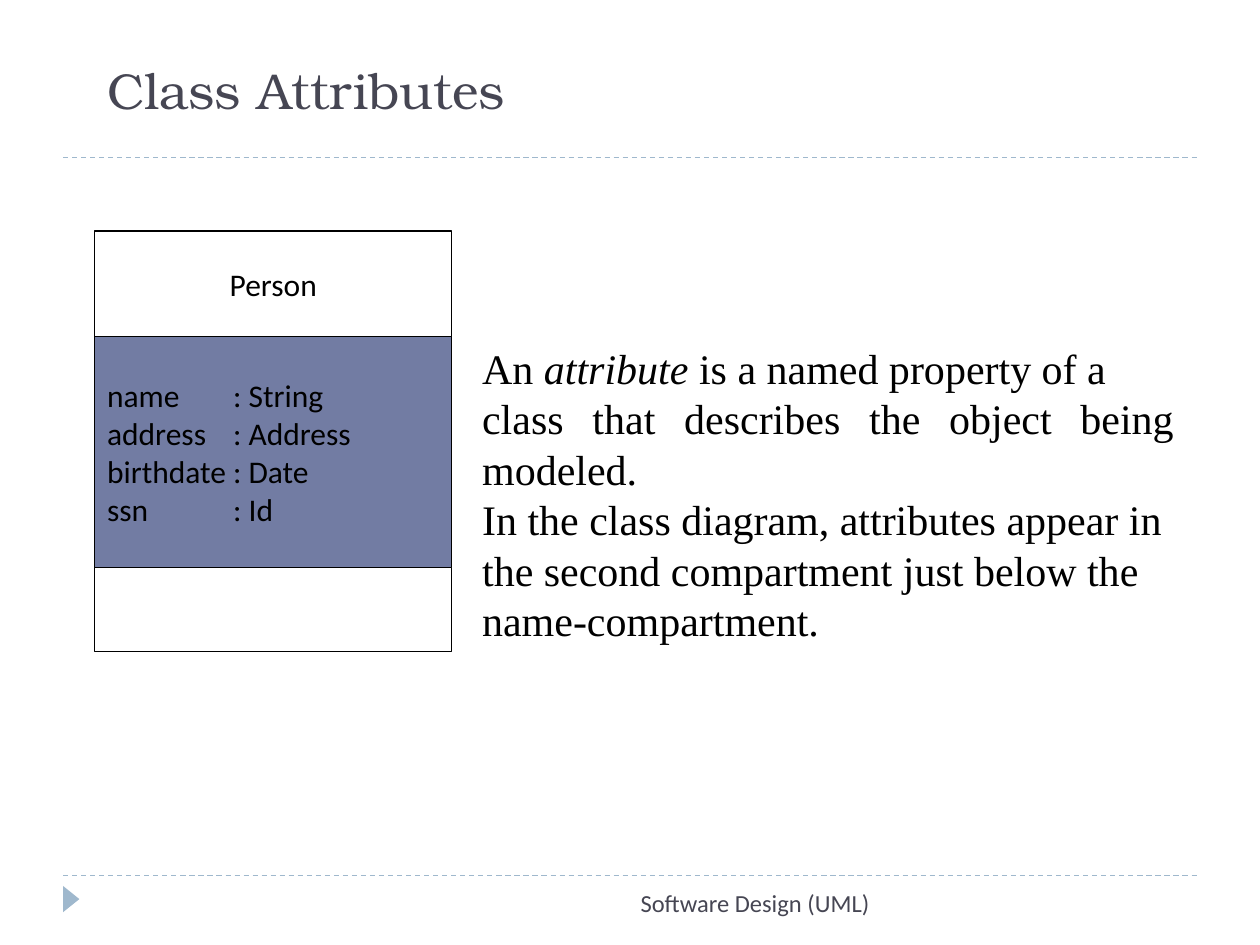
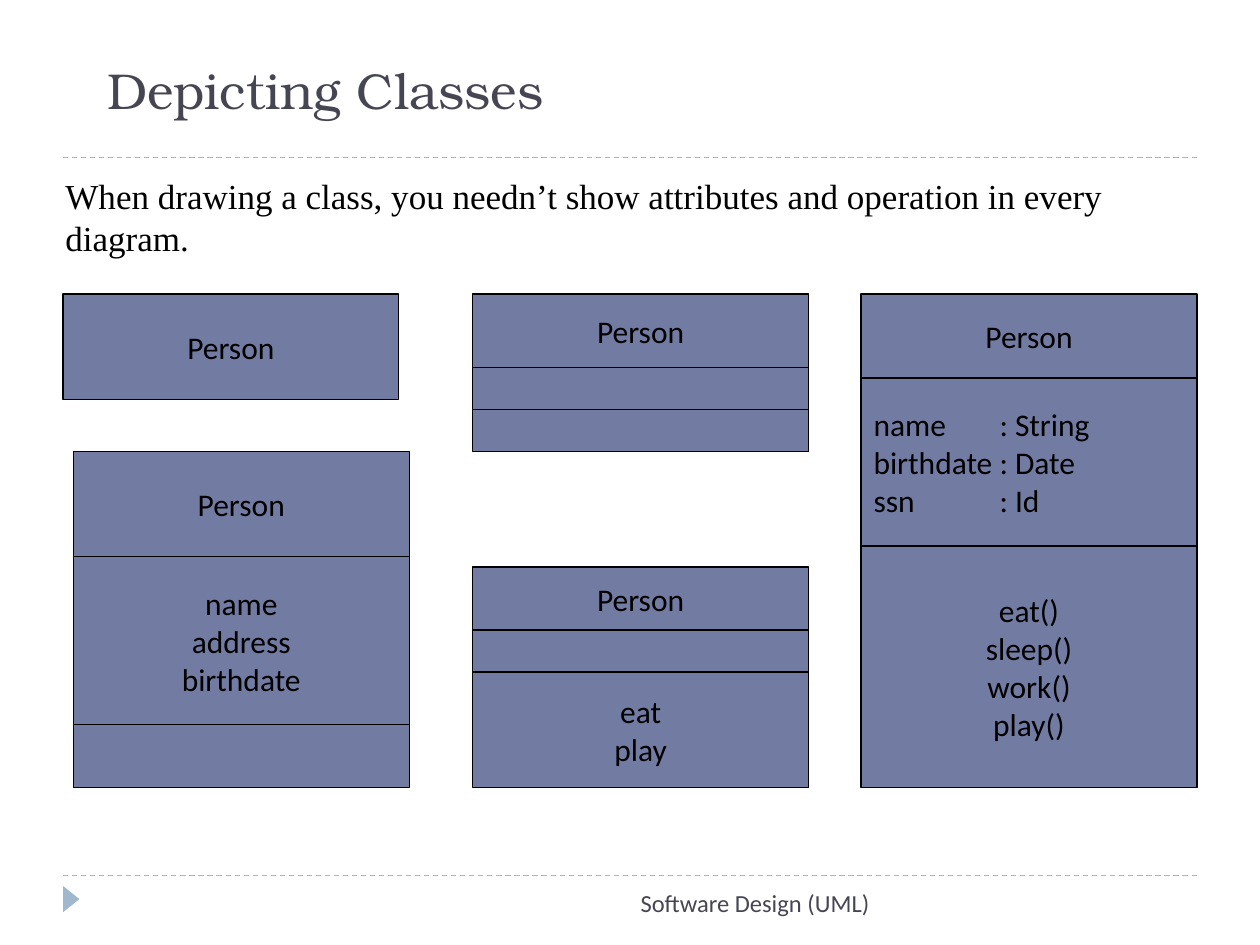
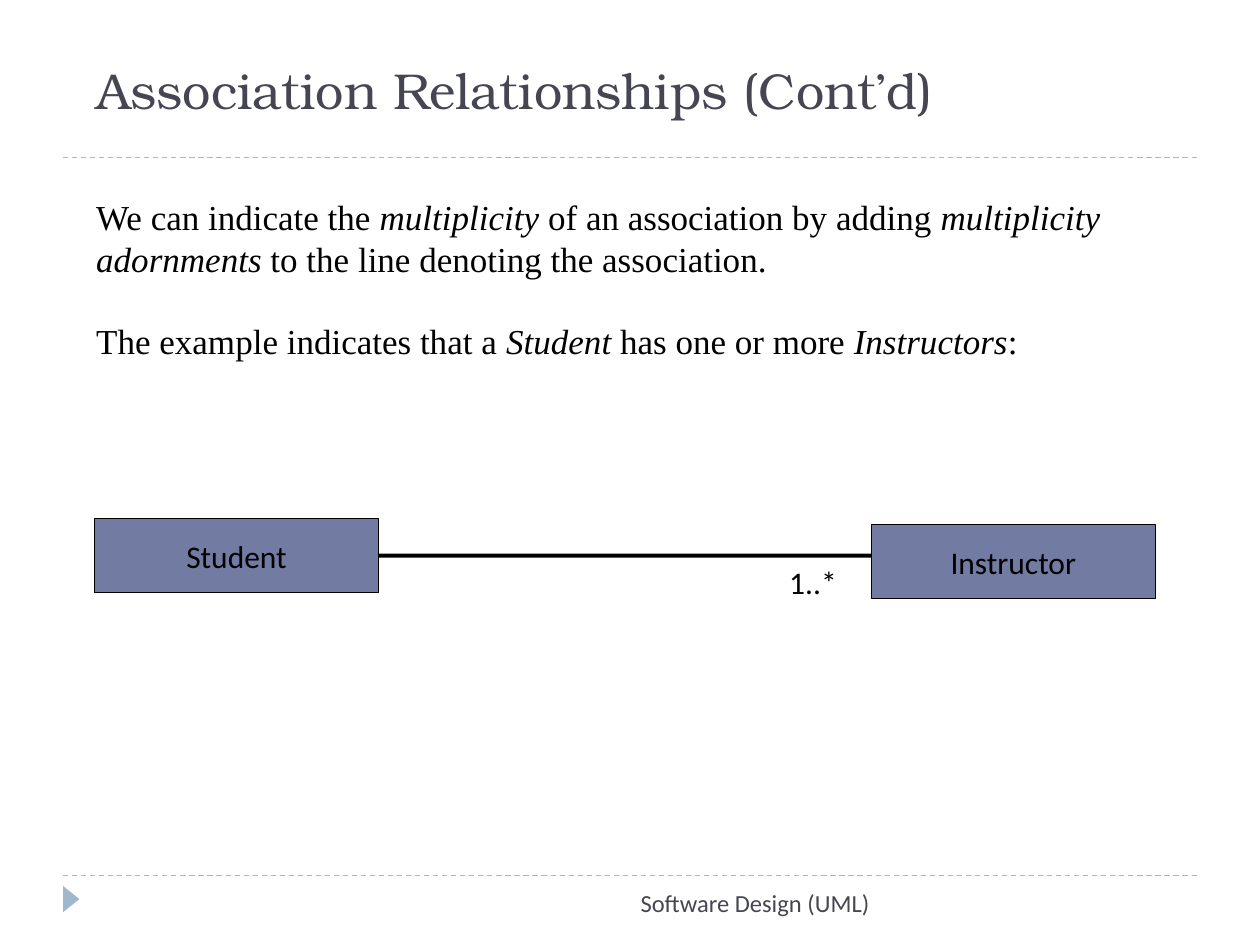
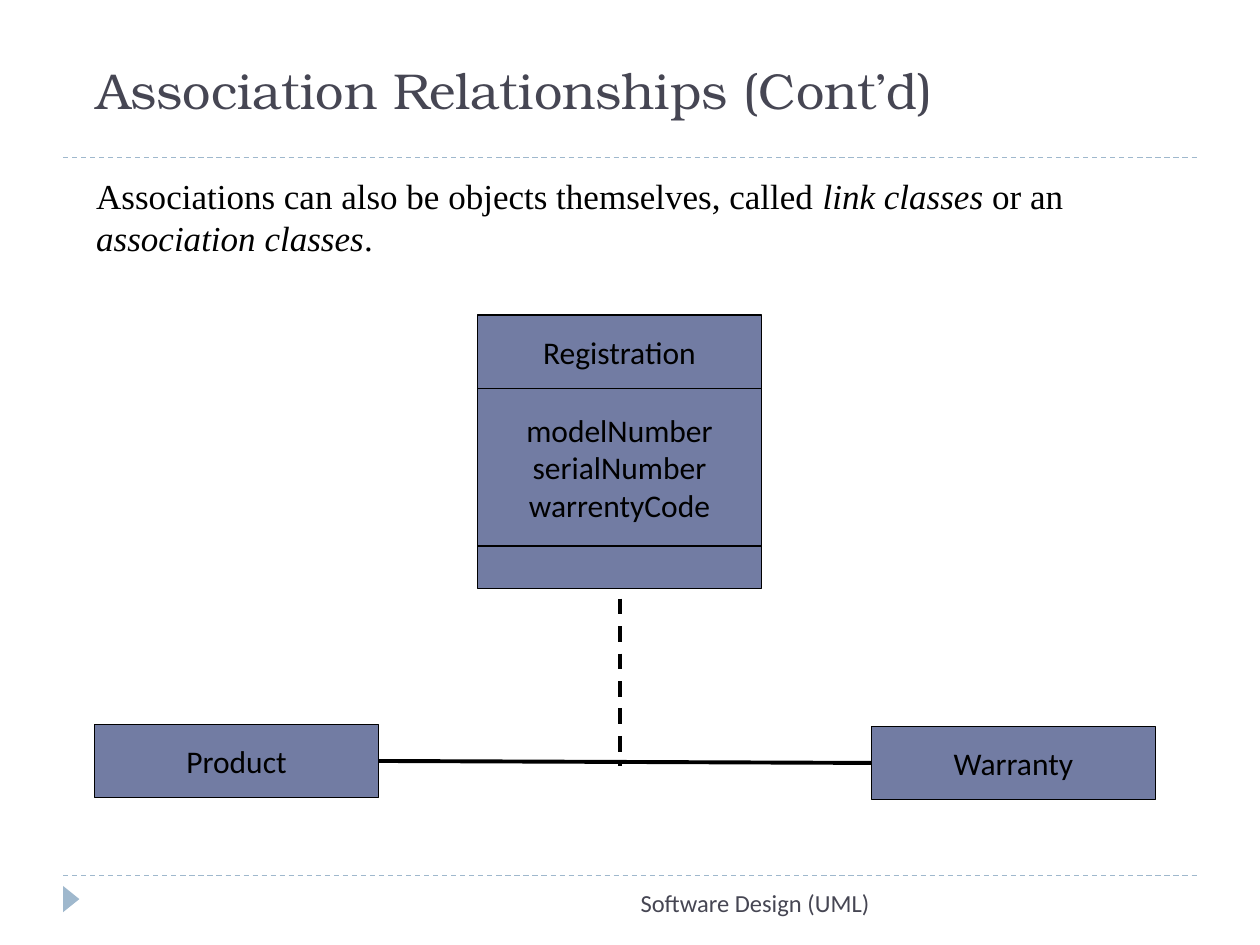
from dataclasses import dataclass
from pptx import Presentation
from pptx.dml.color import RGBColor
from pptx.enum.dml import MSO_LINE
from pptx.enum.shapes import MSO_CONNECTOR, MSO_SHAPE
from pptx.enum.text import MSO_ANCHOR, PP_ALIGN
from pptx.oxml import parse_xml
from pptx.oxml.ns import nsdecls, qn
from pptx.util import Cm, Pt


@dataclass(frozen=True)
class Theme:
    heading: RGBColor = RGBColor(0x46, 0x46, 0x53)
    accent: RGBColor = RGBColor(0x9F, 0xB8, 0xCD)
    slate: RGBColor = RGBColor(0x72, 0x7C, 0xA3)
    white: RGBColor = RGBColor(0xFF, 0xFF, 0xFF)
    ink: RGBColor = RGBColor(0, 0, 0)
    title_font: str = "TeX Gyre Bonum"
    body_font: str = "Times New Roman"
    label_font: str = "Calibri"
    title_size: float = 28.8
    lead_size: float = 24
    body_size: float = 20
    label_size: float = 18
    footer_size: float = 14
    thin: float = 0.75
    thick: float = 2.25


theme = Theme()


def write(shape, text, font=theme.label_font, size=theme.label_size, color=theme.ink,
          align=PP_ALIGN.LEFT, anchor=MSO_ANCHOR.TOP, gap=0, tab=None):
    frame = shape.text_frame
    frame.word_wrap = True
    frame.vertical_anchor = anchor
    for index, line in enumerate(text.split("\n")):
        paragraph = frame.add_paragraph() if index else frame.paragraphs[0]
        if tab:
            stops = f'<a:tabLst {nsdecls("a")}><a:tab pos="{tab}" algn="l"/></a:tabLst>'
            paragraph._p.get_or_add_pPr().append(parse_xml(stops))
        paragraph.alignment = align
        if index and gap:
            paragraph.space_before = gap
        for part, words in enumerate(line.split("_")):
            if words:
                run = paragraph.add_run()
                run.text = words
                run.font.name = font
                run.font.size = Pt(size)
                run.font.color.rgb = color
                run.font.italic = part % 2 == 1


def draw_line(slide, x1, y1, x2, y2, color=theme.ink, width=theme.thick, dashed=False):
    line = slide.shapes.add_connector(MSO_CONNECTOR.STRAIGHT, Cm(x1), Cm(y1), Cm(x2), Cm(y2))
    line.line.color.rgb = color
    line.line.width = Pt(width)
    if dashed:
        line.line.dash_style = MSO_LINE.DASH
    line._element.spPr.append(line._element.makeelement(qn("a:effectLst"), {}))
    return line


deck = Presentation()
deck.slide_width, deck.slide_height = Cm(25.4), Cm(19.05)

titles = [
    ("Class Attributes", 1.91),
    ("Depicting Classes", 1.91),
    ("Association Relationships (Cont’d)", 1.69),
    ("Association Relationships (Cont’d)", 1.69),
]
for title, left in titles:
    slide = deck.slides.add_slide(deck.slide_layouts[6])
    for rule_top in (17.65, 3.18):
        draw_line(slide, 1.27, rule_top, 24.13, rule_top, theme.accent, theme.thin, True)
    marker = slide.shapes.add_shape(MSO_SHAPE.ISOSCELES_TRIANGLE, Cm(1.17), Cm(17.96), Cm(0.53), Cm(0.33))
    marker.rotation = 90
    marker.shadow.inherit = False
    marker.fill.solid()
    marker.fill.fore_color.rgb = theme.accent
    marker.line.fill.background()
    heading = slide.shapes.add_textbox(Cm(left), Cm(1.07), Cm(22.4), Cm(1.47))
    write(heading, title, font=theme.title_font, size=theme.title_size,
          color=theme.heading, anchor=MSO_ANCHOR.BOTTOM)
    footer = slide.shapes.add_textbox(Cm(6.55), Cm(17.78), Cm(11.23), Cm(1.27))
    write(footer, "Software Design (UML)", size=theme.footer_size,
          color=theme.heading, align=PP_ALIGN.RIGHT)

attributes, depicting, multiplicity, link_classes = deck.slides

explanations = [
    (attributes, 9.47, 6.78, 14.45, 6.4, theme.lead_size, PP_ALIGN.JUSTIFY,
     "An _attribute_ is a named property of a\n"
     "class that describes the object being modeled.\n"
     "In the class diagram, attributes appear in\n"
     "the second compartment just below the\n"
     "name-compartment."),
    (depicting, 1.07, 3.39, 23.19, 1.96, theme.body_size, PP_ALIGN.LEFT,
     "When drawing a class, you needn’t show attributes and operation in every diagram."),
    (multiplicity, 1.69, 3.81, 22.53, 3.68, theme.body_size, PP_ALIGN.LEFT,
     "We can indicate the _multiplicity_ of an association by adding "
     "_multiplicity adornments_ to the line denoting the association.\n"
     "The example indicates that a _Student_ has one or more _Instructors_:"),
    (link_classes, 1.69, 3.39, 22.53, 1.96, theme.body_size, PP_ALIGN.LEFT,
     "Associations can also be objects themselves, called _link classes_ or an _association classes_."),
]
for slide, left, top, width, height, size, align, text in explanations:
    body = slide.shapes.add_textbox(Cm(left), Cm(top), Cm(width), Cm(height))
    write(body, text, font=theme.body_font, size=size, align=align,
          gap=Cm(0.81) if slide is multiplicity else 0)

classes = [
    (attributes, 1.91, 4.66, 7.2, [
        (2.12, "Person", theme.white),
        (4.66, "name\t: String\naddress\t: Address\nbirthdate\t: Date\nssn\t: Id", theme.slate),
        (1.69, "", theme.white)]),
    (depicting, 17.36, 5.93, 6.77, [
        (1.69, "Person", theme.slate),
        (3.39, "name\t: String\nbirthdate\t: Date\nssn\t: Id", theme.slate),
        (4.87, "eat()\nsleep()\nwork()\nplay()", theme.slate)]),
    (depicting, 1.27, 5.93, 6.77, [(2.12, "Person", theme.slate)]),
    (depicting, 1.48, 9.1, 6.77, [
        (2.12, "Person", theme.slate),
        (3.39, "name\naddress\nbirthdate", theme.slate),
        (1.27, "", theme.slate)]),
    (depicting, 9.53, 11.43, 6.77, [
        (1.27, "Person", theme.slate),
        (0.85, "", theme.slate),
        (2.33, "eat\nplay", theme.slate)]),
    (depicting, 9.53, 5.93, 6.77, [
        (1.48, "Person", theme.slate),
        (0.85, "", theme.slate),
        (0.85, "", theme.slate)]),
    (multiplicity, 17.57, 10.58, 5.72, [(1.48, "Instructor", theme.slate)]),
    (multiplicity, 1.91, 10.46, 5.72, [(1.48, "Student", theme.slate)]),
    (link_classes, 17.57, 14.64, 5.72, [(1.48, "Warranty", theme.slate)]),
    (link_classes, 1.91, 14.6, 5.72, [(1.48, "Product", theme.slate)]),
    (link_classes, 9.63, 6.35, 5.72, [
        (1.48, "Registration", theme.slate),
        (3.18, "modelNumber\nserialNumber\nwarrentyCode", theme.slate),
        (0.85, "", theme.slate)]),
]
compartments = {}
for slide, left, top, width, rows in classes:
    for height, text, fill in rows:
        compartment = slide.shapes.add_shape(MSO_SHAPE.RECTANGLE, Cm(left), Cm(top), Cm(width), Cm(height))
        compartment.shadow.inherit = False
        compartment.fill.solid()
        compartment.fill.fore_color.rgb = fill
        compartment.line.color.rgb = theme.ink
        compartment.line.width = Pt(theme.thin)
        if text:
            tabbed = "\t" in text
            write(compartment, text, anchor=MSO_ANCHOR.MIDDLE,
                  align=PP_ALIGN.LEFT if tabbed else PP_ALIGN.CENTER,
                  tab=Cm(2.54) if tabbed else None)
        compartments[text] = compartment
        top += height

teaching = draw_line(multiplicity, 7.63, 11.2, 17.57, 11.2)
teaching.begin_connect(compartments["Student"], 3)

coverage = draw_line(link_classes, 7.63, 15.34, 17.57, 15.38)
coverage.begin_connect(compartments["Product"], 3)
coverage.end_connect(compartments["Warranty"], 1)

draw_line(link_classes, 12.49, 12.07, 12.49, 15.44, dashed=True)

adornment = multiplicity.shapes.add_textbox(Cm(15.66), Cm(11.22), Cm(1.91), Cm(1.27))
write(adornment, "1..*")

deck.save("out.pptx")
